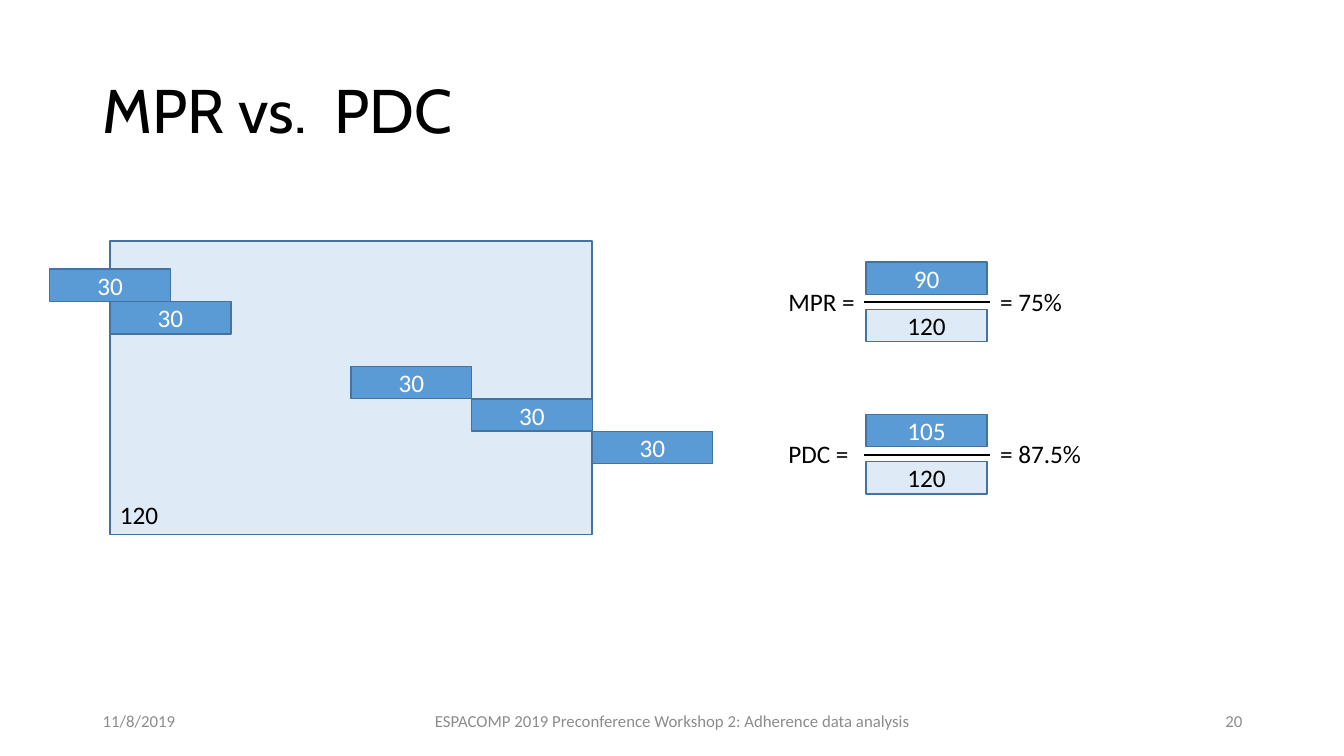
from typing import NamedTuple

from lxml import etree
from pptx import Presentation
from pptx import util as u
from pptx.dml.color import RGBColor
from pptx.enum import shapes, text
from pptx.oxml import ns

BLACK = RGBColor(0x00, 0x00, 0x00)
WHITE = RGBColor(0xFF, 0xFF, 0xFF)
GREY = RGBColor(0x8C, 0x8C, 0x8C)
BLUE = RGBColor(0x5B, 0x9B, 0xD5)
PALE_BLUE = RGBColor(0xDE, 0xEB, 0xF7)
EDGE = RGBColor(0x43, 0x73, 0x9E)

LEFT, CENTER, RIGHT = text.PP_ALIGN.LEFT, text.PP_ALIGN.CENTER, text.PP_ALIGN.RIGHT
TOP, MIDDLE, BOTTOM = (text.MSO_ANCHOR.TOP, text.MSO_ANCHOR.MIDDLE,
                       text.MSO_ANCHOR.BOTTOM)

WINDOW_LEFT, WINDOW_WIDTH, WINDOW_DAYS = 1.09, 4.78, 120
FIRST_ROW_TOP, ROW_PITCH = 2.67, 0.322
BAR_WIDTH, BAR_HEIGHT = 1.2, 0.32
FRACTION_LEFT = 8.59


class Area(NamedTuple):
    left: float
    top: float
    width: float
    height: float


class Supply(NamedTuple):
    start_day: int
    row: int


class Ratio(NamedTuple):
    label: str
    label_width: float
    covered_days: str
    result: str
    result_width: float
    line_y: float


class Footer(NamedTuple):
    words: str
    left: float
    width: float
    align: text.PP_ALIGN


SUPPLIES = [Supply(-15, 0), Supply(0, 1), Supply(60, 3), Supply(90, 4), Supply(120, 5)]
RATIOS = [
    Ratio("MPR =", 0.93, "90", "= 75%", 0.82, 3.0),
    Ratio("PDC =", 0.86, "105", "= 87.5%", 1.01, 4.51),
]
FOOTERS = [
    Footer("11/8/2019", 0.92, 3, LEFT),
    Footer("ESPACOMP 2019 Preconference Workshop 2: Adherence data analysis",
           3.92, 5.5, CENTER),
    Footer("20", 9.42, 3, RIGHT),
]


def inches(area: Area) -> list[u.Inches]:
    return [u.Inches(length) for length in area]


def write(shape, words: str, size: float, color: RGBColor, align=LEFT,
          anchor=MIDDLE, font: str = "Calibri", wrap: bool = True):
    """Fill the shape with one styled paragraph and return that paragraph."""
    frame = shape.text_frame
    frame.word_wrap = wrap
    frame.vertical_anchor = anchor
    para = frame.paragraphs[0]
    para.text = words
    para.alignment = align
    para.font.name = font
    para.font.size = u.Pt(size)
    para.font.color.rgb = color
    return para


def add_box(page, area: Area, words: str, fill: RGBColor, color: RGBColor,
            align=CENTER, anchor=MIDDLE) -> None:
    box = page.shapes.add_shape(shapes.MSO_SHAPE.RECTANGLE, *inches(area))
    box.shadow.inherit = False
    box.fill.solid()
    box.fill.fore_color.rgb = fill
    box.line.color.rgb = EDGE
    box.line.width = u.Pt(1)
    write(box, words, 18, color, align, anchor)


def add_label(page, area: Area, words: str) -> None:
    label = page.shapes.add_textbox(*inches(area))
    write(label, words, 18, BLACK, anchor=TOP, wrap=False)
    label.text_frame.auto_size = text.MSO_AUTO_SIZE.SHAPE_TO_FIT_TEXT


def add_supply(page, supply: Supply) -> None:
    left = WINDOW_LEFT + supply.start_day * WINDOW_WIDTH / WINDOW_DAYS
    top = FIRST_ROW_TOP + supply.row * ROW_PITCH
    add_box(page, Area(left, top, BAR_WIDTH, BAR_HEIGHT), "30", BLUE, WHITE)


def add_ratio(page, ratio: Ratio) -> None:
    y = ratio.line_y
    add_label(page, Area(7.72, y - 0.21, ratio.label_width, 0.4), ratio.label)
    add_box(page, Area(FRACTION_LEFT, y - 0.4, BAR_WIDTH, BAR_HEIGHT),
            ratio.covered_days, BLUE, WHITE)
    line = page.shapes.add_connector(
        shapes.MSO_CONNECTOR.STRAIGHT,
        u.Inches(8.57), u.Inches(y), u.Inches(9.82), u.Inches(y))
    line.line.color.rgb = BLACK
    line.line.width = u.Pt(1.5)
    etree.SubElement(line._element.spPr, ns.qn("a:effectLst"))
    add_box(page, Area(FRACTION_LEFT, y + 0.07, BAR_WIDTH, BAR_HEIGHT),
            str(WINDOW_DAYS), PALE_BLUE, BLACK)
    add_label(page, Area(9.82, y - 0.21, ratio.result_width, 0.4), ratio.result)


def main() -> None:
    deck = Presentation()
    deck.slide_width, deck.slide_height = u.Inches(13.33), u.Inches(7.5)
    page = deck.slides.add_slide(deck.slide_layouts[6])

    add_box(page, Area(WINDOW_LEFT, 2.39, WINDOW_WIDTH, 2.91), str(WINDOW_DAYS),
            PALE_BLUE, BLACK, LEFT, BOTTOM)
    title = page.shapes.add_textbox(*inches(Area(0.92, 0.4, 11.5, 1.45)))
    write(title, "MPR vs.  PDC", 44, BLACK, font="Cabin").line_spacing = 0.9
    for footer in FOOTERS:
        box = page.shapes.add_textbox(
            *inches(Area(footer.left, 6.95, footer.width, 0.4)))
        write(box, footer.words, 12, GREY, footer.align)
    for supply in SUPPLIES:
        add_supply(page, supply)
    for ratio in RATIOS:
        add_ratio(page, ratio)

    deck.save("out.pptx")


if __name__ == "__main__":
    main()
